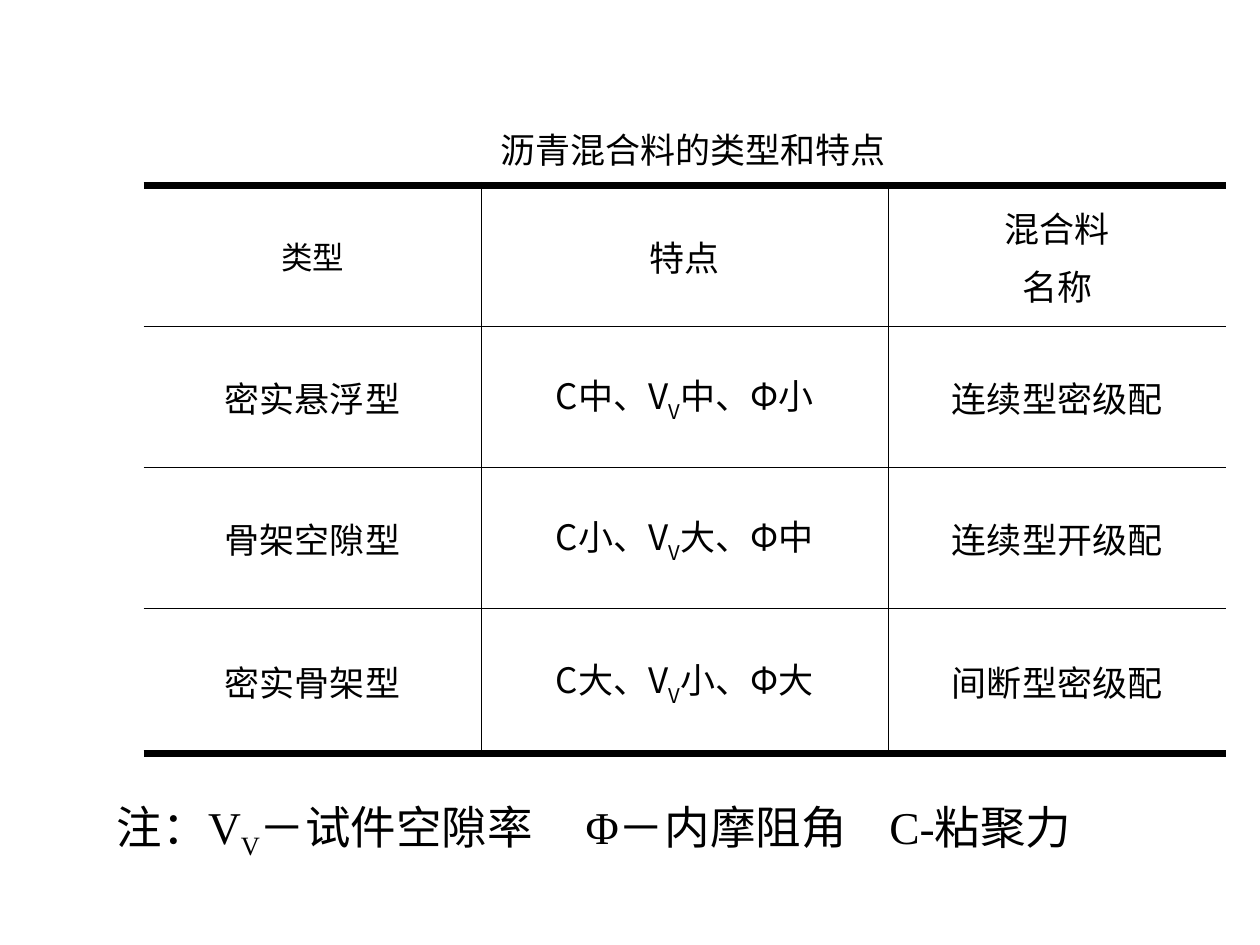
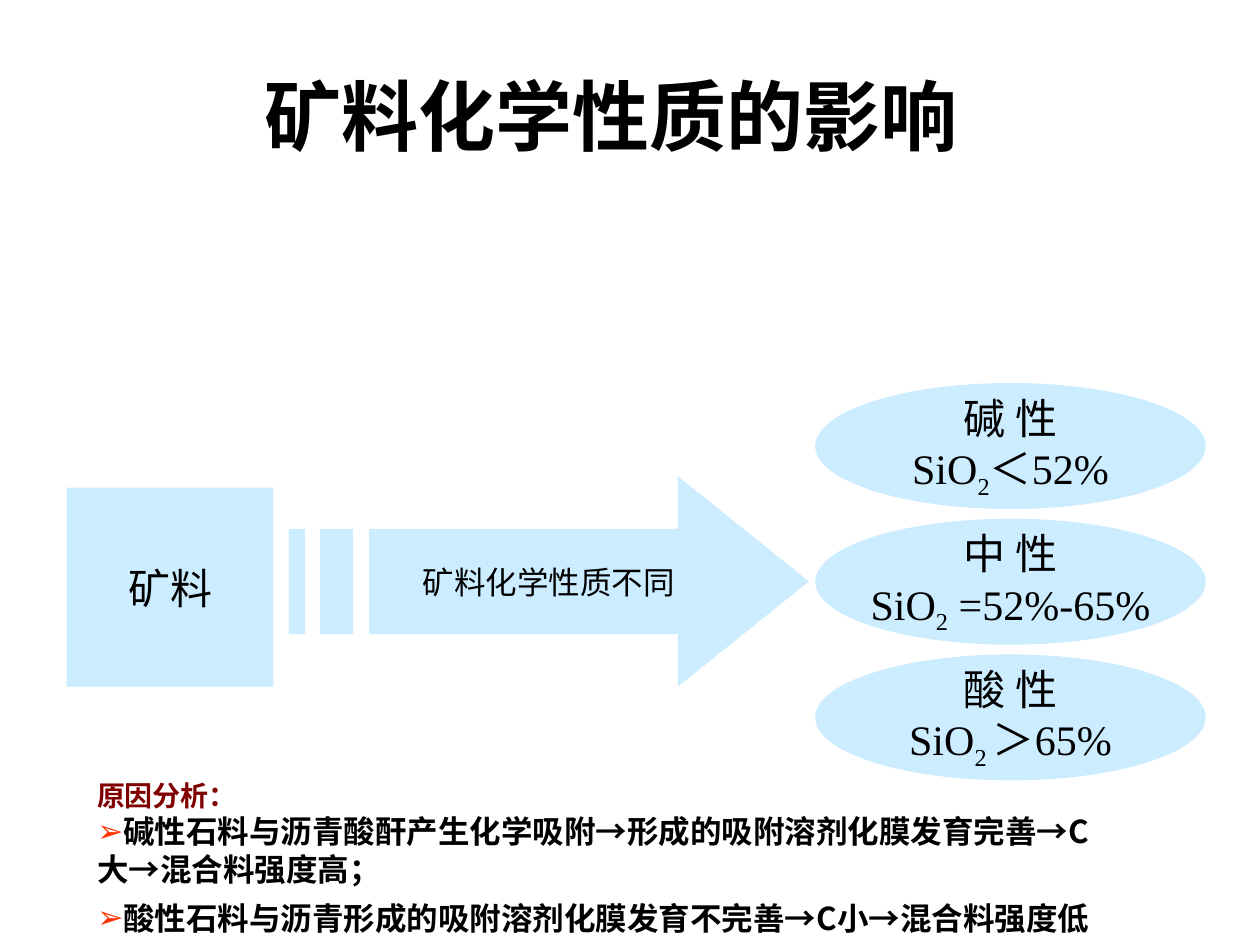
from dataclasses import dataclass

import pptx
import pptx.dml.color
import pptx.enum.shapes
import pptx.enum.text
import pptx.oxml
import pptx.oxml.ns
import pptx.util
from lxml import etree

COLORS = {"ink": "000000", "paper": "FFFFFF", "sky": "CCECFF",
          "heading": "800000", "bullet": "FF3300"}
SERIF, SANS, CJK = "Times New Roman", "Arial", "Noto Sans CJK SC"
COLS, ROWS = 100, 75
ALIGN = pptx.enum.text.PP_ALIGN
ANCHOR = pptx.enum.text.MSO_ANCHOR
SHAPE = pptx.enum.shapes.MSO_SHAPE
qn = pptx.oxml.ns.qn

prs = pptx.Presentation()
prs.slide_width = pptx.util.Inches(10)
prs.slide_height = pptx.util.Inches(7.5)


def gx(col: float) -> int:
    return round(prs.slide_width * col / COLS)


def gy(row: float) -> int:
    return round(prs.slide_height * row / ROWS)


@dataclass(frozen=True)
class Box:
    """A place on the slide, in grid columns and rows."""
    col: float
    row: float
    width: float
    height: float

    def emu(self) -> tuple[int, int, int, int]:
        return gx(self.col), gy(self.row), gx(self.width), gy(self.height)


@dataclass(frozen=True)
class Mineral:
    name: str
    silica: str


@dataclass(frozen=True)
class MixType:
    name: str
    traits: str
    grading: str


MIXES = [
    MixType("密实悬浮型", "C中、V~V~中、Φ小", "连续型密级配"),
    MixType("骨架空隙型", "C小、V~V~大、Φ中", "连续型开级配"),
    MixType("密实骨架型", "C大、V~V~小、Φ大", "间断型密级配"),
]
MINERALS = [
    Mineral("碱 性", "SiO~2~＜52%"),
    Mineral("中 性", "SiO~2~ =52%-65%"),
    Mineral("酸 性", "SiO~2 ~＞65%"),
]


def rgb(name: str) -> pptx.dml.color.RGBColor:
    return pptx.dml.color.RGBColor.from_string(COLORS[name])


def add_child(parent, tag: str, **attrs: str):
    return etree.SubElement(parent, qn(tag), attrs)


def add_bullet(p, char: str | None) -> None:
    pPr = p._p.get_or_add_pPr()
    pPr.set("marL", "0")
    pPr.set("indent", "0")
    if char is None:
        add_child(pPr, "a:buNone")
        return
    add_child(add_child(pPr, "a:buClr"), "a:srgbClr", val=COLORS["bullet"])
    add_child(pPr, "a:buChar", char=char)


def add_tabs(p, stops: list[float]) -> None:
    tabs = add_child(p._p.get_or_add_pPr(), "a:tabLst")
    for stop in stops:
        add_child(tabs, "a:tab", pos=str(gx(stop)), algn="l")


def write(p, text: str, *, size: float, font: str = SERIF, color: str = "ink",
          bold: bool = False, align=ALIGN.LEFT, before: float = 0,
          spacing: float = 1, sub: int = -25) -> None:
    """Fill a paragraph; text between tildes becomes a subscript."""
    p.alignment = align
    p.space_before = pptx.util.Pt(before)
    p.line_spacing = spacing
    for i, part in enumerate(text.split("~")):
        r = p.add_run()
        r.text = part
        r.font.size = pptx.util.Pt(size)
        r.font.name = font
        r.font.bold = bold
        r.font.color.rgb = rgb(color)
        rPr = r._r.get_or_add_rPr()
        add_child(rPr, "a:ea", typeface=CJK)
        if i % 2:
            rPr.set("baseline", str(sub * 1000))


def write_lines(tf, lines: list[str], *, gap: float = 0, **fmt) -> None:
    for i, line in enumerate(lines):
        p = tf.paragraphs[0] if i == 0 else tf.add_paragraph()
        write(p, line, before=gap if i else 0, **fmt)


def place(sp, box: Box) -> None:
    sp.left, sp.top, sp.width, sp.height = box.emu()


def add_slide(layout: int, title: str, box: Box, **fmt):
    slide = prs.slides.add_slide(prs.slide_layouts[layout])
    place(slide.shapes.title, box)
    tf = slide.shapes.title.text_frame
    tf.auto_size = pptx.enum.text.MSO_AUTO_SIZE.NONE
    tf.vertical_anchor = ANCHOR.MIDDLE
    write(tf.paragraphs[0], title, align=ALIGN.CENTER, **fmt)
    return slide


def style_shape(sp, lines: list[str], **fmt) -> None:
    sp.shadow.inherit = False
    sp.fill.solid()
    sp.fill.fore_color.rgb = rgb("sky")
    sp.line.fill.background()
    tf = sp.text_frame
    tf.word_wrap = False
    tf.vertical_anchor = ANCHOR.MIDDLE
    write_lines(tf, lines, align=ALIGN.CENTER, **fmt)


def set_borders(cell, widths: dict[str, float]) -> None:
    """Draw the cell's sides; a width of 0 leaves a side bare."""
    tcPr = cell._tc.get_or_add_tcPr()
    for side in ("L", "R", "T", "B"):
        ln = add_child(tcPr, f"a:ln{side}", w=str(pptx.util.Pt(widths[side])))
        if widths[side]:
            add_child(add_child(ln, "a:solidFill"), "a:srgbClr", val=COLORS["ink"])
        else:
            add_child(ln, "a:noFill")


def add_mix_table(slide, box: Box, widths: list[float], heights: list[float]) -> None:
    rows = [["类型", "特点", "混合料\n名称"]]
    rows += [[m.name, m.traits, m.grading] for m in MIXES]
    table = slide.shapes.add_table(len(rows), len(widths), *box.emu()).table
    table.first_row = table.horz_banding = False
    for column, width in zip(table.columns, widths):
        column.width = gx(width)
    for row, height in zip(table.rows, heights):
        row.height = gy(height)
    thick, thin = 4.5, 1
    for i, texts in enumerate(rows):
        for j, text in enumerate(texts):
            cell = table.cell(i, j)
            cell.vertical_anchor = ANCHOR.MIDDLE
            set_borders(cell, {
                "L": thin if j else 0,
                "R": thin if j < len(widths) - 1 else 0,
                "T": thin if i else thick,
                "B": thin if i < len(rows) - 1 else thick})
            cell.fill.background()
            corner = i == j == 0
            write_lines(cell.text_frame, text.split("\n"), gap=4, sub=-30,
                        size=18 if corner else 20, font=SERIF if corner else CJK,
                        align=ALIGN.CENTER)


def add_striped_arrow(slide, box: Box, text: str) -> None:
    top, bottom = box.row, box.row + box.height
    tip, neck = box.col + box.width, box.col + 30.9
    upper, lower = top + box.height / 4, bottom - box.height / 4
    tail = box.col + 6.4
    outlines = [[(neck, top), (neck, upper), (tail, upper), (tail, lower),
                 (neck, lower), (neck, bottom), (tip, (top + bottom) / 2)]]
    for offset, width in ((2.5, 2.6), (0, 1.3)):
        left, right = box.col + offset, box.col + offset + width
        outlines.append([(left, upper), (left, lower), (right, lower), (right, upper)])
    builder = None
    for outline in outlines:
        start, *rest = [(gx(c), gy(r)) for c, r in outline]
        if builder is None:
            builder = slide.shapes.build_freeform(*start)
        else:
            builder.move_to(*start)
        builder.add_line_segments(rest, close=True)
    style_shape(builder.convert_to_shape(), [text], size=18, font=SANS)


def build_types_slide() -> None:
    slide = add_slide(5, "沥青混合料的类型和特点", Box(4.3, 6, 98, 11.7), size=20)
    slide.shapes.title.text_frame.margin_left = gx(4.4)
    add_mix_table(slide, Box(11.4, 14.7, 85.9, 45.1),
                  [26.8, 32.3, 26.8], [11.2, 11.2, 11.2, 11.5])
    note = slide.shapes.add_textbox(*Box(8.3, 62.9, 79.5, 5.3).emu()).text_frame
    note.word_wrap = True
    add_tabs(note.paragraphs[0], [37.2, 61.3])
    write(note.paragraphs[0], "注：V~V~－试件空隙率\tΦ－内摩阻角\tC-粘聚力", size=26)


def build_chemistry_slide() -> None:
    slide = add_slide(1, "矿料化学性质的影响", Box(7.7, 2.8, 81.7, 12.6),
                      size=44, font=SANS, bold=True)
    sp = slide.shapes.add_shape(SHAPE.RECTANGLE, *Box(5.3, 38.7, 16.4, 15.8).emu())
    style_shape(sp, ["矿料"], size=24)
    add_striped_arrow(slide, Box(22.9, 37.8, 41.3, 16.7), "矿料化学性质不同")
    for i, mineral in enumerate(MINERALS):
        box = Box(64.7, 30.4 + 10.77 * i, 31, 10)
        sp = slide.shapes.add_shape(SHAPE.OVAL, *box.emu())
        style_shape(sp, [mineral.name, mineral.silica], size=24)

    body = slide.placeholders[1]
    place(body, Box(6.7, 61.3, 82.5, 13.7))
    tf = body.text_frame
    tf.auto_size = pptx.enum.text.MSO_AUTO_SIZE.NONE
    add_bullet(tf.paragraphs[0], None)
    write(tf.paragraphs[0], "原因分析：", size=16, font=SANS, color="heading", bold=True)
    reasons = [
        ("碱性石料与沥青酸酐产生化学吸附→形成的吸附溶剂化膜发育完善→C大→混合料强度高；", 1),
        ("酸性石料与沥青形成的吸附溶剂化膜发育不完善→C小→混合料强度低", 1.3),
    ]
    for text, spacing in reasons:
        p = tf.add_paragraph()
        add_bullet(p, "➢")
        write(p, text, size=18, font=CJK, bold=True, spacing=spacing)


def main() -> None:
    build_types_slide()
    build_chemistry_slide()
    prs.save("out.pptx")


if __name__ == "__main__":
    main()
